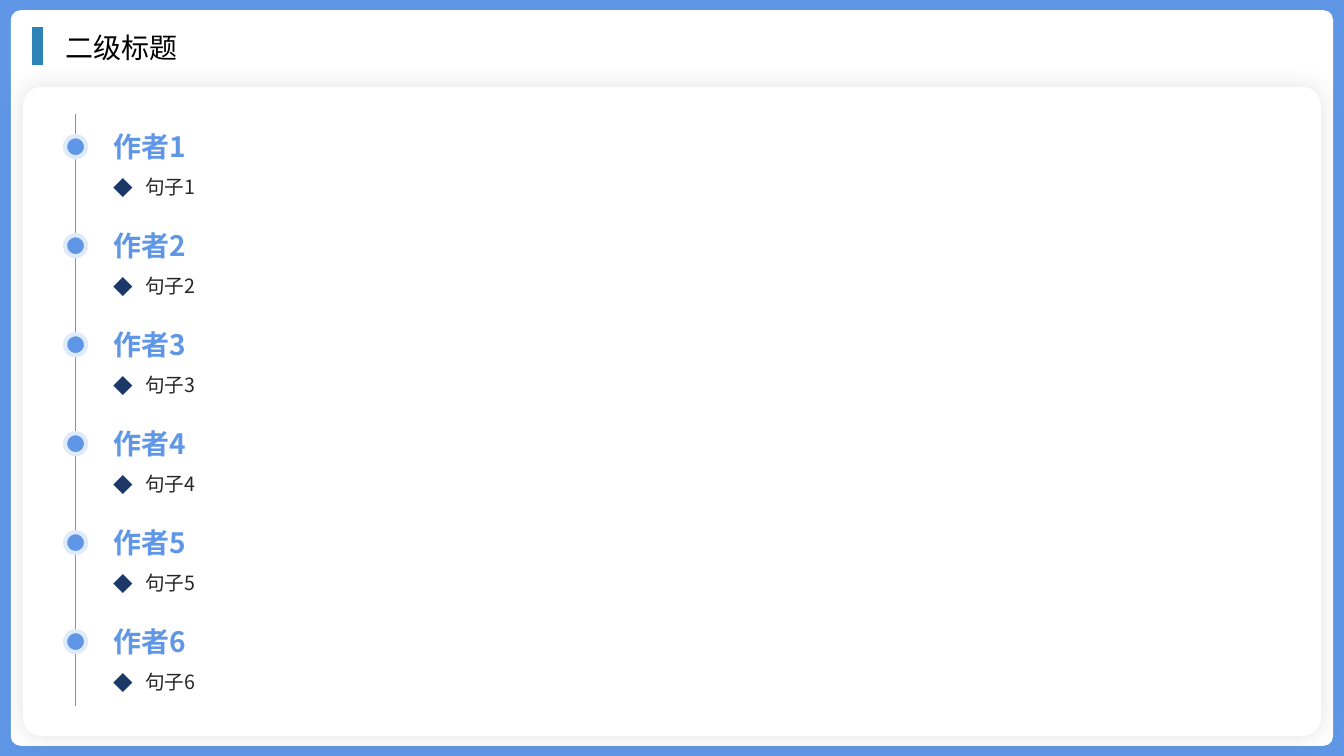
from lxml import etree
from pptx import Presentation
from pptx import util as u
from pptx.dml.color import RGBColor
from pptx.enum import shapes, text
from pptx.oxml import ns

BLUE = RGBColor(0x60, 0x96, 0xE6)
PALE_BLUE = RGBColor(0xDF, 0xEA, 0xFA)
TEAL = RGBColor(0x2D, 0x83, 0xB6)
NAVY = RGBColor(0x1B, 0x38, 0x68)
DARK = RGBColor(0x26, 0x26, 0x26)
BLACK = RGBColor(0, 0, 0)
WHITE = RGBColor(0xFF, 0xFF, 0xFF)

AUTHOR_COUNT = 6
AUTHOR_STEP = 70.7


def add_element(parent, tag, **attributes):
    return etree.SubElement(parent, ns.qn(tag), attributes)


class TimelineSlide:
    heading_font = "Roboto"
    body_font = "Noto Sans CJK SC"

    def __init__(self, presentation):
        self.slide = presentation.slides.add_slide(presentation.slide_layouts[6])

    def panel(self, kind, left, top, width, height, fill, corner=None):
        shape = self.slide.shapes.add_shape(
            kind, u.Pt(left), u.Pt(top), u.Pt(width), u.Pt(height))
        shape.shadow.inherit = False
        shape.fill.solid()
        shape.fill.fore_color.rgb = fill
        shape.line.fill.background()
        if corner is not None:
            shape.adjustments[0] = corner
        return shape

    def soft_shadow(self, shape, blur, opacity):
        effects = shape._element.spPr.find(ns.qn("a:effectLst"))
        shadow = add_element(effects, "a:outerShdw", blurRad=str(u.Pt(blur)),
                             dist="0", dir="0", algn="ctr", rotWithShape="0")
        color = add_element(shadow, "a:srgbClr", val=str(BLACK))
        add_element(color, "a:alpha", val=str(opacity * 1000))

    def vertical_line(self, x, top, bottom, color, width):
        line = self.slide.shapes.add_connector(
            shapes.MSO_CONNECTOR.STRAIGHT, u.Pt(x), u.Pt(top), u.Pt(x), u.Pt(bottom))
        line.line.color.rgb = color
        line.line.width = u.Pt(width)
        add_element(line._element.spPr, "a:effectLst")

    def dot(self, left, top, size):
        shape = self.panel(shapes.MSO_SHAPE.OVAL, left, top, size, size, BLUE)
        shape.line.color.rgb = PALE_BLUE
        shape.line.width = u.Pt(3)

    def label(self, content, left, top, width, height, size, color,
              font=body_font, bold=False, bullet=False):
        box = self.slide.shapes.add_textbox(
            u.Pt(left), u.Pt(top), u.Pt(width), u.Pt(height))
        frame = box.text_frame
        frame.word_wrap = True
        frame.auto_size = text.MSO_AUTO_SIZE.SHAPE_TO_FIT_TEXT
        paragraph = frame.paragraphs[0]
        paragraph.text = content
        properties = paragraph._p.get_or_add_pPr()
        if bullet:
            self.diamond_bullet(paragraph, properties)
        paragraph.font.name = font
        paragraph.font.size = u.Pt(size)
        paragraph.font.bold = bold
        paragraph.font.color.rgb = color
        add_element(properties.find(ns.qn("a:defRPr")), "a:ea", typeface=font)

    def diamond_bullet(self, paragraph, properties):
        indent = u.Pt(22.5)
        properties.set("marL", str(indent))
        properties.set("indent", str(-indent))
        color = add_element(properties, "a:buClr")
        add_element(color, "a:srgbClr", val=str(NAVY))
        add_element(properties, "a:buFont", typeface=self.body_font)
        add_element(properties, "a:buChar", char="◆")
        paragraph.line_spacing = 1.3
        paragraph.space_after = u.Pt(6)

    def author(self, number, top):
        self.dot(46.5, top + 8, 15)
        self.label(f"作者{number}", 74, top, 165.6, 31.5, 20, BLUE, bold=True)
        self.label(f"句子{number}", 74, top + 27.2, 825, 29.5, 14, DARK, bullet=True)


def main():
    presentation = Presentation()
    presentation.slide_width = u.Pt(960)
    presentation.slide_height = u.Pt(540)
    page = TimelineSlide(presentation)

    rounded = shapes.MSO_SHAPE.ROUNDED_RECTANGLE
    page.panel(shapes.MSO_SHAPE.RECTANGLE, 0, 0, 960, 540, BLUE)
    page.panel(rounded, 7.75, 7.3, 944.5, 525.4, WHITE, 0.013)
    card = page.panel(rounded, 16.4, 62, 927.2, 463.8, WHITE, 0.029)
    page.soft_shadow(card, blur=18, opacity=11)

    page.vertical_line(26.8, 19.4, 46.2, TEAL, 7.25)
    page.label("二级标题", 39.6, 18, 894, 31.5, 20, BLACK, font=page.heading_font)

    page.vertical_line(54, 81.4, 504, BLUE, 0.5)
    for index in range(AUTHOR_COUNT):
        page.author(index + 1, 89.3 + index * AUTHOR_STEP)

    presentation.save("out.pptx")


if __name__ == "__main__":
    main()
